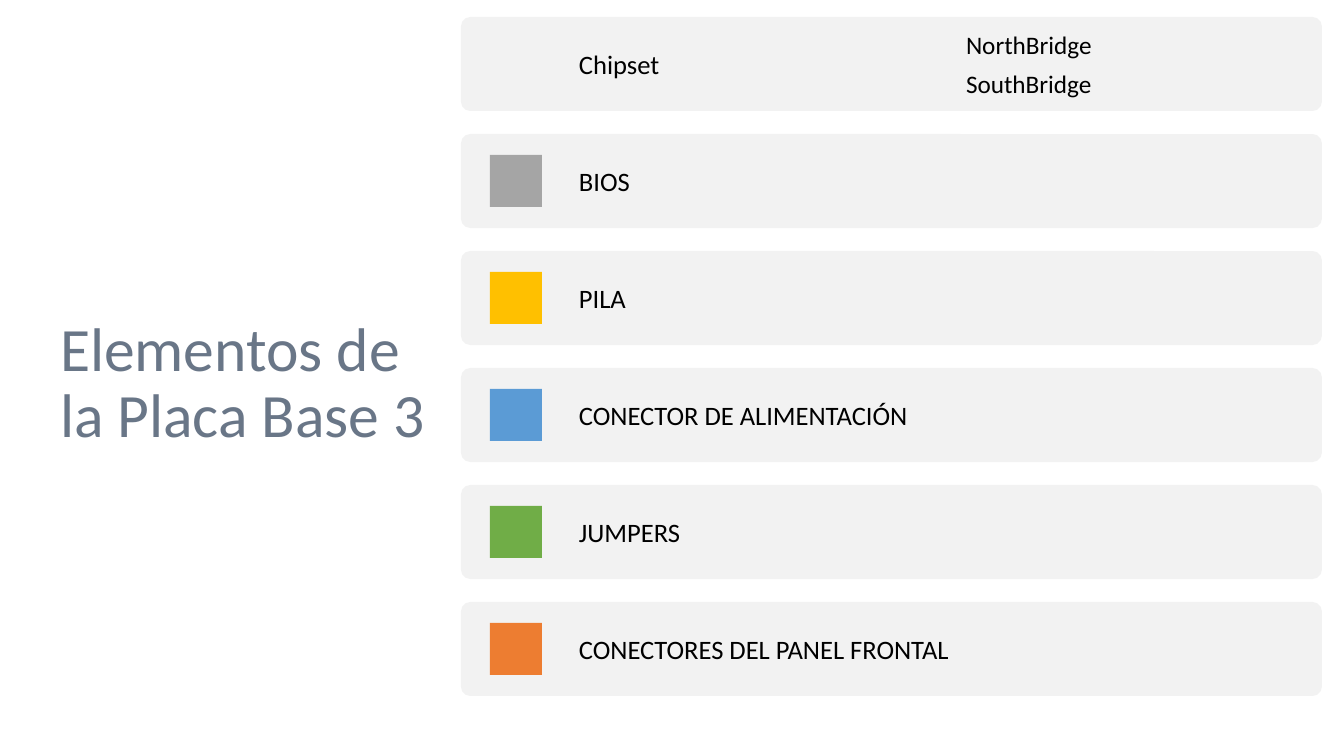
from dataclasses import dataclass

from lxml import etree
from pptx import Presentation
from pptx.dml.color import RGBColor
from pptx.enum import shapes, text
from pptx.oxml.ns import qn
from pptx.slide import Slide
from pptx.text.text import _Run
from pptx.util import Emu, Pt

PX = 914400 / 100.8
FONT = "Calibri"
BLACK = RGBColor(0x00, 0x00, 0x00)
SLATE = RGBColor(0x44, 0x54, 0x6A)
PANEL = RGBColor(0xF2, 0xF2, 0xF2)
GRAY = RGBColor(0xA5, 0xA5, 0xA5)
GOLD = RGBColor(0xFF, 0xC0, 0x00)
BLUE = RGBColor(0x5B, 0x9B, 0xD5)
GREEN = RGBColor(0x70, 0xAD, 0x47)
ORANGE = RGBColor(0xED, 0x7D, 0x31)

ROW_LEFT, ROW_TOP, ROW_WIDTH, ROW_HEIGHT, ROW_PITCH = 461, 17, 861, 94, 117
ICON_LEFT, ICON_SIZE = 490, 52
LABEL_LEFT, DETAIL_LEFT = 569, 956
ROW_RIGHT = ROW_LEFT + ROW_WIDTH


@dataclass(frozen=True)
class Element:
    """A motherboard element shown as one row."""

    label: str
    icon: RGBColor | None = None
    details: tuple[str, ...] = ()


ELEMENTS = (
    Element("Chipset", details=("NorthBridge", "SouthBridge")),
    Element("BIOS", GRAY),
    Element("PILA", GOLD),
    Element("CONECTOR DE ALIMENTACIÓN", BLUE),
    Element("JUMPERS", GREEN),
    Element("CONECTORES DEL PANEL FRONTAL", ORANGE),
)


def px(n: int) -> Emu:
    """Convert pixels to EMU."""
    return Emu(round(n * PX))


def add_block(s: Slide, kind: shapes.MSO_SHAPE, x: int, y: int, w: int, h: int,
              color: RGBColor) -> None:
    """Draw a flat filled shape, with small corners when rounded."""
    sp = s.shapes.add_shape(kind, px(x), px(y), px(w), px(h))
    sp.shadow.inherit = False
    sp.fill.solid()
    sp.fill.fore_color.rgb = color
    sp.line.fill.background()
    if kind == shapes.MSO_SHAPE.ROUNDED_RECTANGLE:
        sp.adjustments[0] = 0.1


def add_text(s: Slide, x: int, y: int, w: int, h: int, lines: tuple[str, ...],
             size: int, color: RGBColor = BLACK, spacing: float = 1.0) -> list[_Run]:
    """Draw vertically centred lines of text and return their runs."""
    tf = s.shapes.add_textbox(px(x), px(y), px(w), px(h)).text_frame
    tf.word_wrap = True
    tf.vertical_anchor = text.MSO_ANCHOR.MIDDLE
    tf.margin_left = tf.margin_right = px(10)
    tf.margin_top = tf.margin_bottom = px(10)
    runs = []
    for i, line in enumerate(lines):
        p = tf.add_paragraph() if i else tf.paragraphs[0]
        p.line_spacing = spacing
        p.space_after = Pt(round(size * 0.35, 1))
        r = p.add_run()
        r.text = line
        r.font.name = FONT
        r.font.size = Pt(size)
        r.font.color.rgb = color
        runs.append(r)
    return runs


def add_title(s: Slide) -> None:
    """Draw the slightly transparent slide title."""
    lines = ("Elementos de la Placa Base 3",)
    for r in add_text(s, 50, 80, 410, 609, lines, 44, SLATE, 0.9):
        color = r.font._element.find(".//" + qn("a:srgbClr"))
        etree.SubElement(color, qn("a:alpha"), val="80000")


def add_row(s: Slide, element: Element, top: int) -> None:
    """Draw the panel, icon and texts of one element."""
    add_block(s, shapes.MSO_SHAPE.ROUNDED_RECTANGLE,
              ROW_LEFT, top, ROW_WIDTH, ROW_HEIGHT, PANEL)
    if element.icon is not None:
        add_block(s, shapes.MSO_SHAPE.RECTANGLE, ICON_LEFT,
                  top + (ROW_HEIGHT - ICON_SIZE) // 2, ICON_SIZE, ICON_SIZE, element.icon)
    label_right = DETAIL_LEFT if element.details else ROW_RIGHT
    add_text(s, LABEL_LEFT, top, label_right - LABEL_LEFT, ROW_HEIGHT, (element.label,), 19)
    if element.details:
        add_text(s, DETAIL_LEFT, top, ROW_RIGHT - DETAIL_LEFT, ROW_HEIGHT,
                 element.details, 18)


def main() -> None:
    """Build and save the slide."""
    prs = Presentation()
    prs.slide_width, prs.slide_height = px(1344), px(756)
    s = prs.slides.add_slide(prs.slide_layouts[6])
    add_title(s)
    for i, element in enumerate(ELEMENTS):
        add_row(s, element, ROW_TOP + i * ROW_PITCH)
    prs.save("out.pptx")


if __name__ == "__main__":
    main()
